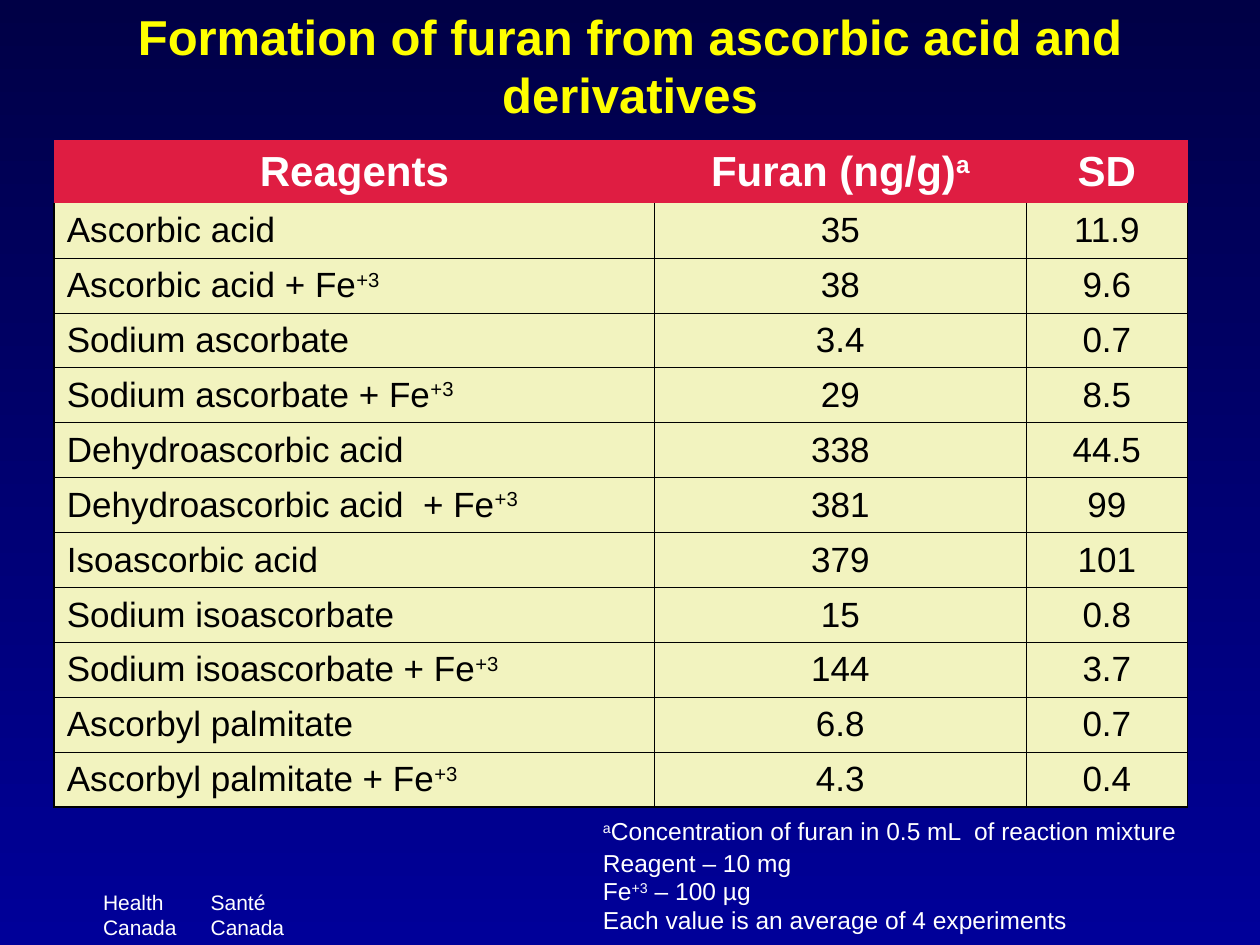
from dataclasses import dataclass

from lxml.etree import SubElement
from pptx import Presentation
from pptx.dml.color import RGBColor
from pptx.enum.text import MSO_ANCHOR, MSO_AUTO_SIZE, PP_ALIGN
from pptx.oxml.ns import qn
from pptx.util import Pt


@dataclass(frozen=True)
class Theme:
    font: str = "Arial"
    background_top: str = "000046"
    background_bottom: str = "000099"
    title: str = "FFFF00"
    light: str = "FFFFFF"
    dark: str = "000000"
    header_fill: str = "DF1D42"
    body_fill: str = "F2F3BF"
    title_size: float = 28
    header_size: float = 24
    body_size: float = 20
    note_size: float = 14
    signature_size: float = 12
    outer_line: float = 1.08
    inner_line: float = 0.45


TITLE = "Formation of furan from ascorbic acid and derivatives"
HEADER = ("Reagents", "Furan (ng/g)^a^", "SD")
# Text between carets is superscript.
MEASUREMENTS = [
    ("Ascorbic acid", "35", "11.9"),
    ("Ascorbic acid + Fe^+3^", "38", "9.6"),
    ("Sodium ascorbate", "3.4", "0.7"),
    ("Sodium ascorbate + Fe^+3^", "29", "8.5"),
    ("Dehydroascorbic acid", "338", "44.5"),
    ("Dehydroascorbic acid  + Fe^+3^", "381", "99"),
    ("Isoascorbic acid", "379", "101"),
    ("Sodium isoascorbate", "15", "0.8"),
    ("Sodium isoascorbate + Fe^+3^", "144", "3.7"),
    ("Ascorbyl palmitate", "6.8", "0.7"),
    ("Ascorbyl palmitate + Fe^+3^", "4.3", "0.4"),
]
NOTES = [
    ("^a^Concentration of furan in 0.5 mL  of reaction mixture", {}),
    ("Reagent – 10 mg", {"line_spacing": 0.5, "space_before": Pt(8.8)}),
    ("Fe^+3^ – 100 µg", {}),
    ("Each value is an average of 4 experiments", {}),
]
SIGNATURE = [("Health\tSanté", {}), ("Canada\tCanada", {})]


def apply_format(target, values):
    for name, value in values.items():
        setattr(target, name, value)


class SlideBuilder:
    def __init__(self, presentation, theme):
        self.theme = theme
        self.slide = presentation.slides.add_slide(presentation.slide_layouts[5])

    def add_background(self):
        fill = self.slide.background.fill
        fill.gradient()
        fill.gradient_angle = 270
        colors = (self.theme.background_top, self.theme.background_bottom)
        for stop, position, color in zip(fill.gradient_stops, (0, 1), colors):
            stop.position = position
            stop.color.rgb = RGBColor.from_string(color)

    def fill_paragraph(self, paragraph, text, size, color, bold=False, **layout):
        """Fill a paragraph, raising the parts of the text between carets."""
        apply_format(paragraph, layout)
        for index, part in enumerate(text.split("^")):
            if not part:
                continue
            run = paragraph.add_run()
            run.text = part
            apply_format(run.font, {"name": self.theme.font, "size": Pt(size), "bold": bold})
            run.font.color.rgb = RGBColor.from_string(color)
            if index % 2:
                run._r.get_or_add_rPr().set("baseline", "30000")

    def add_title(self, text, left, top, width, height):
        title = self.slide.shapes.title
        apply_format(title, {"left": Pt(left), "top": Pt(top),
                             "width": Pt(width), "height": Pt(height)})
        frame = title.text_frame
        apply_format(frame, {"word_wrap": True, "auto_size": MSO_AUTO_SIZE.NONE,
                             "vertical_anchor": MSO_ANCHOR.MIDDLE})
        self.fill_paragraph(frame.paragraphs[0], text, self.theme.title_size,
                            self.theme.title, bold=True, alignment=PP_ALIGN.CENTER)

    def add_text(self, lines, left, top, width, height, size, tab=None):
        box = self.slide.shapes.add_textbox(Pt(left), Pt(top), Pt(width), Pt(height))
        frame = box.text_frame
        frame.word_wrap = True
        for index, (text, layout) in enumerate(lines):
            paragraph = frame.add_paragraph() if index else frame.paragraphs[0]
            if tab:
                tabs = SubElement(paragraph._p.get_or_add_pPr(), qn("a:tabLst"))
                SubElement(tabs, qn("a:tab"), pos=str(Pt(tab)), algn="l")
            self.fill_paragraph(paragraph, text, size, self.theme.light, **layout)

    def set_borders(self, cell, widths):
        """Draw the left, right, top and bottom lines; a width of 0 draws none."""
        properties = cell._tc.get_or_add_tcPr()
        for side, width in zip("LRTB", widths):
            line = SubElement(properties, qn(f"a:ln{side}"), w=str(Pt(width)))
            if width:
                fill = SubElement(line, qn("a:solidFill"))
                SubElement(fill, qn("a:srgbClr"), val=self.theme.dark)
            else:
                SubElement(line, qn("a:noFill"))

    def add_table(self, rows, left, top, column_widths, header_height, row_height):
        theme = self.theme
        heights = [header_height] + [row_height] * (len(rows) - 1)
        table = self.slide.shapes.add_table(
            len(rows), len(column_widths), Pt(left), Pt(top),
            Pt(sum(column_widths)), Pt(sum(heights))).table
        table.horz_banding = False
        for column, width in zip(table.columns, column_widths):
            column.width = Pt(width)
        last_row, last_column = len(rows) - 1, len(column_widths) - 1
        for r, (values, height) in enumerate(zip(rows, heights)):
            table.rows[r].height = Pt(height)
            for c, text in enumerate(values):
                cell = table.cell(r, c)
                cell.vertical_anchor = MSO_ANCHOR.MIDDLE
                header = r == 0
                self.set_borders(cell, (0, 0, 0, 0) if header else (
                    theme.inner_line if c else theme.outer_line,
                    theme.outer_line if c == last_column else theme.inner_line,
                    theme.inner_line if r > 1 else 0,
                    theme.outer_line if r == last_row else theme.inner_line))
                cell.fill.solid()
                cell.fill.fore_color.rgb = RGBColor.from_string(
                    theme.header_fill if header else theme.body_fill)
                self.fill_paragraph(
                    cell.text_frame.paragraphs[0], text,
                    theme.header_size if header else theme.body_size,
                    theme.light if header else theme.dark, bold=header,
                    alignment=PP_ALIGN.CENTER if header or c else PP_ALIGN.LEFT)


def main():
    presentation = Presentation()
    apply_format(presentation, {"slide_width": Pt(720), "slide_height": Pt(540)})
    theme = Theme()
    builder = SlideBuilder(presentation, theme)
    builder.add_background()
    builder.add_text(SIGNATURE, 51.8, 504.7, 118, 36, theme.signature_size, tab=61.5)
    builder.add_title(TITLE, 0, -7.9, 720, 90)
    builder.add_table([HEADER, *MEASUREMENTS], 31, 80, (343, 212.4, 92.2), 36, 31.4)
    builder.add_text(NOTES, 337.5, 463, 348.5, 75, theme.note_size)
    presentation.save("out.pptx")


if __name__ == "__main__":
    main()
